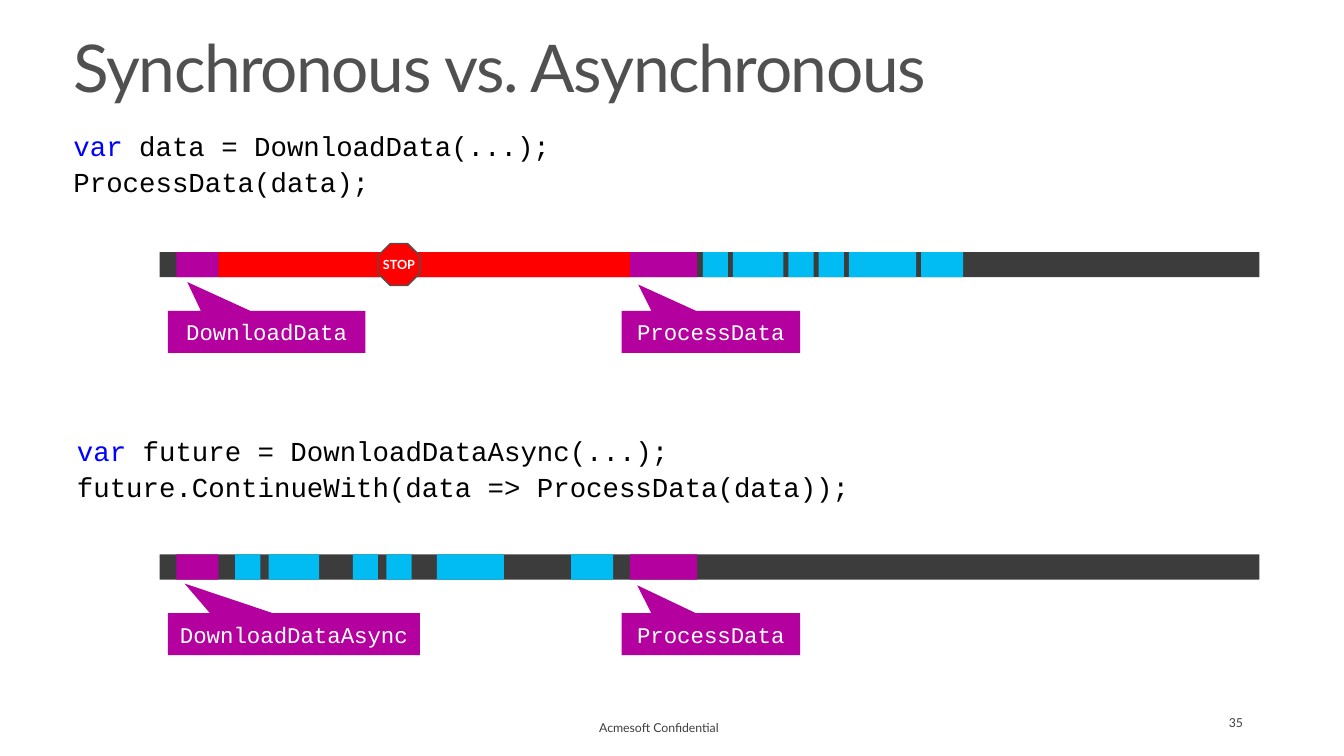
import pptx
import pptx.util
from dataclasses import dataclass
from pptx.dml.color import RGBColor
from pptx.enum.shapes import MSO_SHAPE
from pptx.enum.text import MSO_ANCHOR, MSO_AUTO_SIZE, PP_ALIGN

Pt = pptx.util.Pt


@dataclass(frozen=True)
class Theme:
    # Colours
    title: str = "505050"
    footer: str = "3F3F3F"
    keyword: str = "0000FF"
    code: str = "000000"
    white: str = "FFFFFF"
    idle: str = "3C3C3C"
    call: str = "B4009E"
    blocked: str = "FF0000"
    work: str = "00BCF2"
    # Fonts and type sizes
    sans: str = "Lato"
    mono: str = "Courier New"
    title_size: float = 47
    code_size: float = 19.6
    label_size: float = 16
    stop_size: float = 9
    footer_size: float = 8.8


class SlideBuilder:
    def __init__(self, prs, theme):
        self.theme = theme
        self.s = prs.slides.add_slide(prs.slide_layouts[5])

    def frame(self, sp, inset=(0, 0), anchor=MSO_ANCHOR.TOP, wrap=True):
        tf = sp.text_frame
        tf.word_wrap = wrap
        tf.auto_size = MSO_AUTO_SIZE.NONE
        tf.vertical_anchor = anchor
        tf.margin_left = tf.margin_right = Pt(inset[0])
        tf.margin_top = tf.margin_bottom = Pt(inset[1])
        return tf

    def run(self, p, text, font, size, color, bold=False):
        r = p.add_run()
        r.text = text
        r.font.name = font
        r.font.size = Pt(size)
        r.font.bold = bold
        r.font.color.rgb = RGBColor.from_string(color)
        return r

    def title(self, text, x, y, w, h):
        sp = self.s.shapes.title
        sp.left, sp.top, sp.width, sp.height = Pt(x), Pt(y), Pt(w), Pt(h)
        p = self.frame(sp, (11.5, 7.2)).paragraphs[0]
        p.alignment = PP_ALIGN.LEFT
        p.line_spacing = 0.9
        r = self.run(p, text, self.theme.sans, self.theme.title_size, self.theme.title)
        r.font._element.set("spc", "-100")

    def code(self, lines, x, y, w, h, inset=(0, 0)):
        """Each line is a list of (text, colour) runs."""
        sp = self.s.shapes.add_textbox(Pt(x), Pt(y), Pt(w), Pt(h))
        tf = self.frame(sp, inset)
        for i, line in enumerate(lines):
            p = tf.add_paragraph() if i else tf.paragraphs[0]
            p.line_spacing = 0.9
            p.space_before = Pt(4 if i else 0)
            for text, color in line:
                self.run(p, text, self.theme.mono, self.theme.code_size, color)

    def footer(self, text, x, y, w, h, align, inset, anchor):
        sp = self.s.shapes.add_textbox(Pt(x), Pt(y), Pt(w), Pt(h))
        p = self.frame(sp, inset, anchor).paragraphs[0]
        p.alignment = align
        self.run(p, text, self.theme.sans, self.theme.footer_size, self.theme.footer)

    def shape(self, kind, x, y, w, h, fill, line=None):
        sp = self.s.shapes.add_shape(kind, Pt(x), Pt(y), Pt(w), Pt(h))
        sp.shadow.inherit = False
        sp.fill.solid()
        sp.fill.fore_color.rgb = RGBColor.from_string(fill)
        if line:
            sp.line.color.rgb = RGBColor.from_string(line)
            sp.line.width = Pt(1)
        else:
            sp.line.fill.background()
        return sp

    def segment(self, x, y, w, fill):
        self.shape(MSO_SHAPE.RECTANGLE, x, y, w, 18, fill)

    def callout(self, text, x, y, w, tip):
        sp = self.shape(MSO_SHAPE.RECTANGULAR_CALLOUT, x, y, w, 30, self.theme.call)
        sp.adjustments[0], sp.adjustments[1] = tip
        p = self.frame(sp, (7.2, 3.6), MSO_ANCHOR.MIDDLE).paragraphs[0]
        p.alignment = PP_ALIGN.CENTER
        self.run(p, text, self.theme.mono, self.theme.label_size, self.theme.white)

    def stop_sign(self, x, y, size):
        sp = self.shape(MSO_SHAPE.OCTAGON, x, y, size, size,
                        self.theme.blocked, self.theme.title)
        p = self.frame(sp, anchor=MSO_ANCHOR.MIDDLE, wrap=False).paragraphs[0]
        p.alignment = PP_ALIGN.CENTER
        self.run(p, "STOP", self.theme.sans, self.theme.stop_size, self.theme.white, True)

    def timeline(self, y, blocks, callouts):
        """A bar with the two calls, their callouts and the other work."""
        self.segment(114, y, 785.5, self.theme.idle)
        for x, w in ((126, 30), (450, 48)):
            self.segment(x, y, w, self.theme.call)
        for x, w in blocks:
            self.segment(x, y, w, self.theme.work)
        for text, x, w, tip in callouts:
            self.callout(text, x, y + 42, w, tip)


def main():
    prs = pptx.Presentation()
    prs.slide_width, prs.slide_height = Pt(960), Pt(540)
    theme = Theme()
    b = SlideBuilder(prs, theme)

    # Title and code samples
    b.title("Synchronous vs. Asynchronous", 41, 18, 878.5, 51)
    b.code([[("var ", theme.keyword), ("data = DownloadData(...);", theme.code)],
            [("ProcessData(data);", theme.code)]],
           41, 88, 878.5, 408, (11.5, 7.2))
    b.code([[("var ", theme.keyword), ("future = DownloadDataAsync(...);", theme.code)],
            [("future.ContinueWith(data => ProcessData(data));", theme.code)]],
           55, 313, 844, 47.5)

    # Work is queued after the download, or runs while it is pending
    widths = (18, 36, 18, 18, 48, 30)
    async_starts = (168, 192, 252, 276, 312, 408)
    queue_start, queue_gap = 502, 3.6
    sync_starts = [queue_start + sum(widths[:i]) + i * queue_gap
                   for i in range(len(widths))]

    # Synchronous timeline, blocked while downloading
    sync_y, async_y = 180, 396
    b.timeline(sync_y, zip(sync_starts, widths),
               [("DownloadData", 120, 141, (-0.402, -1.185)),
                ("ProcessData", 444, 127.5, (-0.406, -1.124))])
    b.segment(156, sync_y, 294, theme.blocked)
    b.stop_sign(270, sync_y - 6, 30)

    # Asynchronous timeline
    b.timeline(async_y, zip(async_starts, widths),
               [("DownloadDataAsync", 120, 180, (-0.434, -1.206)),
                ("ProcessData", 444, 127.5, (-0.412, -1.165))])

    # Footer and slide number
    b.footer("Acmesoft Confidential", 361, 506, 219.5, 28,
             PP_ALIGN.CENTER, (14.4, 3.6), MSO_ANCHOR.MIDDLE)
    b.footer("35", 683.5, 507, 211.5, 28,
             PP_ALIGN.RIGHT, (7.2, 3.6), MSO_ANCHOR.TOP)

    prs.save("out.pptx")


if __name__ == "__main__":
    main()
